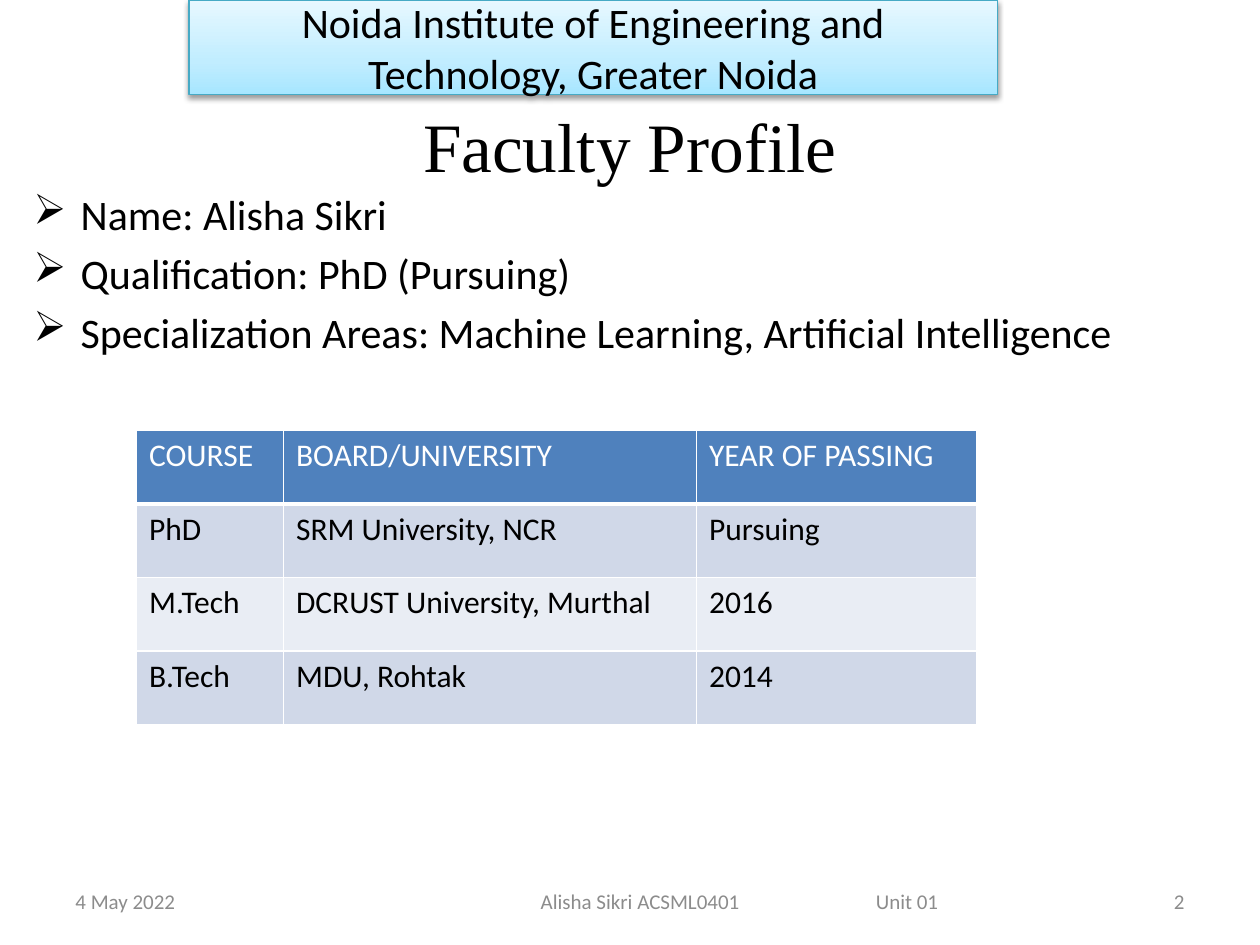
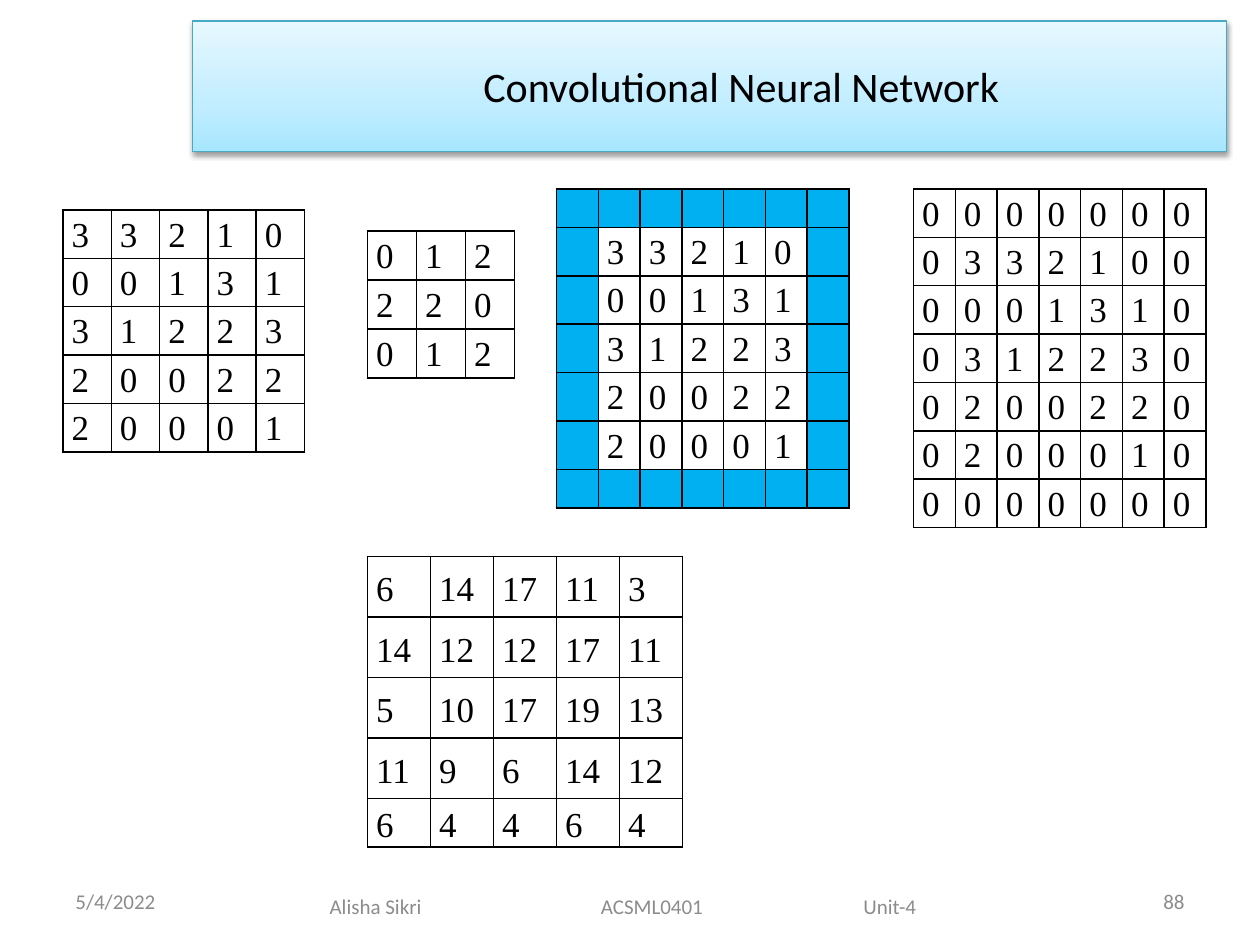
from dataclasses import dataclass

from lxml.etree import SubElement
from pptx import Presentation
from pptx.dml.color import RGBColor
from pptx.enum.shapes import MSO_SHAPE as Shape
from pptx.enum.text import MSO_ANCHOR as Anchor, PP_ALIGN as Align
from pptx.oxml.ns import qn
from pptx.util import Pt


@dataclass(frozen=True)
class Theme:
    body_font: str = "Calibri"
    serif_font: str = "Times New Roman"
    black: str = "000000"
    white: str = "FFFFFF"
    footer_grey: str = "8C8C8C"
    banner_line: str = "46AAC5"
    banner_stops: tuple = ((0, "A7E6FF"), (35, "C1EDFF"), (100, "E7F8FF"))
    header_fill: str = "4F81BD"
    band_fills: tuple = ("D0D8E8", "E9EDF4")
    padding_fill: str = "00B0F0"
    title_size: float = 39.6
    text_size: int = 24
    matrix_size: int = 20
    table_size: int = 18
    footer_size: int = 12


THEME = Theme()


def add_element(parent, tag, **attributes):
    return SubElement(parent, qn(tag), {name: str(value) for name, value in attributes.items()})


def add_color(parent, color):
    return add_element(parent, "a:srgbClr", val=color)


def write_text(frame, text, size=THEME.text_size, font=THEME.body_font, color=THEME.black,
               align=Align.LEFT, line_spacing=None, space_before=0, indent=0,
               bullet=None, tab_stops=()):
    """Write one paragraph per line of text, all in the same format."""
    for index, line in enumerate(text.split("\n")):
        paragraph = frame.add_paragraph() if index else frame.paragraphs[0]
        properties = paragraph._p.get_or_add_pPr()
        if indent:
            properties.set("marL", str(Pt(indent)))
        if bullet:
            properties.set("indent", str(-Pt(indent)))
            add_element(properties, "a:buChar", char=bullet)
        if tab_stops:
            tabs = add_element(properties, "a:tabLst")
            for stop in tab_stops:
                add_element(tabs, "a:tab", pos=Pt(stop), algn="l")
        paragraph.alignment = align
        if line_spacing:
            paragraph.line_spacing = line_spacing
        if index and space_before:
            paragraph.space_before = Pt(space_before)
        run = paragraph.add_run()
        run.text = line
        run.font.size = Pt(size)
        run.font.name = font
        run.font.bold = False
        run.font.color.rgb = RGBColor.from_string(color)


class Deck:
    def __init__(self, theme):
        self.theme = theme
        self.presentation = Presentation()
        self.presentation.slide_width = Pt(720)
        self.presentation.slide_height = Pt(540)
        self.slide = None

    def new_slide(self):
        self.slide = self.presentation.slides.add_slide(self.presentation.slide_layouts[6])

    def text_box(self, box, text, anchor=Anchor.MIDDLE, margin_left=7.2, **text_format):
        frame = self.slide.shapes.add_textbox(*map(Pt, box)).text_frame
        frame.word_wrap = True
        frame.vertical_anchor = anchor
        frame.margin_left = Pt(margin_left)
        write_text(frame, text, **text_format)

    def banner(self, box, text, indent=0):
        shape = self.slide.shapes.add_shape(Shape.RECTANGLE, *map(Pt, box))
        shape.line.color.rgb = RGBColor.from_string(self.theme.banner_line)
        shape.line.width = Pt(0.75)
        # Gradient from the bottom edge to the top
        shape.fill.gradient()
        shape.fill.gradient_angle = 90
        properties = shape.element.spPr
        stops = properties.find(qn("a:gradFill")).find(qn("a:gsLst"))
        for stop in list(stops):
            stops.remove(stop)
        for position, color in self.theme.banner_stops:
            add_color(add_element(stops, "a:gs", pos=position * 1000), color)
        # Soft shadow below
        shape.shadow.inherit = False
        shadow = add_element(properties.find(qn("a:effectLst")), "a:outerShdw",
                             blurRad=Pt(3.1), dist=Pt(1.6), dir=90 * 60000, rotWithShape=0)
        add_element(add_color(shadow, self.theme.black), "a:alpha", val=38000)
        shape.text_frame.word_wrap = True
        shape.text_frame.vertical_anchor = Anchor.MIDDLE
        write_text(shape.text_frame, text, align=Align.CENTER, indent=indent)

    def footer(self, date, parts, number, box, margin_left, tab_stops):
        style = {"size": self.theme.footer_size, "color": self.theme.footer_grey}
        self.text_box((36, 500.5, 168, 28.75), date, **style)
        self.text_box(box, "\t".join(parts), margin_left=margin_left,
                      tab_stops=tab_stops, **style)
        self.text_box((516, 500.5, 168, 28.75), number, align=Align.RIGHT, **style)

    def table(self, left, top, column_widths, row_heights):
        frame = self.slide.shapes.add_table(
            len(row_heights), len(column_widths), Pt(left), Pt(top),
            Pt(sum(column_widths)), Pt(sum(row_heights)))
        table = frame.table
        table.first_row = table.horz_banding = False
        for column, width in zip(table.columns, column_widths):
            column.width = Pt(width)
        for row, height in zip(table.rows, row_heights):
            row.height = Pt(height)
        return table

    def style_cell(self, cell, border, fill=None, bottom_width=1):
        properties = cell._tc.get_or_add_tcPr()
        for side in "LRTB":
            width = bottom_width if side == "B" else 1
            line = add_element(properties, f"a:ln{side}", w=Pt(width))
            add_color(add_element(line, "a:solidFill"), border)
        if fill:
            cell.fill.solid()
            cell.fill.fore_color.rgb = RGBColor.from_string(fill)
        else:
            cell.fill.background()

    def banded_table(self, left, top, column_widths, row_height, rows):
        theme = self.theme
        table = self.table(left, top, column_widths, [row_height] * len(rows))
        for r, values in enumerate(rows):
            fill = theme.band_fills[(r - 1) % 2] if r else theme.header_fill
            for c, value in enumerate(values):
                cell = table.cell(r, c)
                self.style_cell(cell, theme.white, fill, bottom_width=1 if r else 3)
                write_text(cell.text_frame, value, size=theme.table_size,
                           color=theme.black if r else theme.white)

    def matrix(self, left, top, column_width, row_heights, values, anchor=Anchor.TOP):
        """Draw a number grid; None gives an empty padding cell."""
        theme = self.theme
        table = self.table(left, top, [column_width] * len(values[0]), row_heights)
        for r, row in enumerate(values):
            for c, value in enumerate(row):
                cell = table.cell(r, c)
                cell.margin_left = cell.margin_right = Pt(5)
                cell.margin_top = cell.margin_bottom = 0
                cell.vertical_anchor = anchor
                self.style_cell(cell, theme.black, theme.padding_fill if value is None else None)
                if value is not None:
                    write_text(cell.text_frame, str(value), size=theme.matrix_size,
                               font=theme.serif_font, line_spacing=1.15)


def pad(matrix, value):
    edge = [[value] * (len(matrix[0]) + 2)]
    return edge + [[value, *row, value] for row in matrix] + edge


def faculty_slide(deck):
    deck.new_slide()
    # Title and profile
    deck.text_box((36, 58, 648, 50), "Faculty Profile", size=THEME.title_size,
                  font=THEME.serif_font, align=Align.CENTER)
    deck.text_box((12, 104.4, 696, 406),
                  "Name: Alisha Sikri\n"
                  "Qualification: PhD (Pursuing)\n"
                  "Specialization Areas: Machine Learning, Artificial Intelligence",
                  anchor=Anchor.TOP, align=Align.JUSTIFY, bullet="➢", indent=27,
                  space_before=4.8)
    deck.footer("4 May 2022", ["Alisha Sikri ACSML0401", "Unit 01"], "2",
                box=(246, 500.5, 354, 28.75), margin_left=63, tab_stops=[191.5])
    deck.banner((108, 0, 462, 54),
                "Noida Institute of Engineering and Technology, Greater Noida")
    # Degrees
    deck.banded_table(78, 246, [84, 236, 160], 42, [
        ["COURSE", "BOARD/UNIVERSITY", "YEAR OF PASSING"],
        ["PhD", "SRM University, NCR", "Pursuing"],
        ["M.Tech", "DCRUST University, Murthal", "2016"],
        ["B.Tech", "MDU, Rohtak", "2014"],
    ])


def convolution_slide(deck):
    deck.new_slide()
    deck.banner((110, 12, 591, 74.5), "Convolutional Neural Network", indent=36)
    deck.footer("5/4/2022", ["Alisha Sikri", "ACSML0401", "Unit-4"], "88",
                box=(158.4, 503.5, 396, 28.75), margin_left=30, tab_stops=[155, 305])

    input_values = [
        [3, 3, 2, 1, 0],
        [0, 0, 1, 3, 1],
        [3, 1, 2, 2, 3],
        [2, 0, 0, 2, 2],
        [2, 0, 0, 0, 1],
    ]
    kernel = [[0, 1, 2], [2, 2, 0], [0, 1, 2]]
    feature_map = [
        [6, 14, 17, 11, 3],
        [14, 12, 12, 17, 11],
        [5, 10, 17, 19, 13],
        [11, 9, 6, 14, 12],
        [6, 4, 4, 6, 4],
    ]
    # Padding frame, input, kernel, zero padding and result
    deck.matrix(318, 108, 23.88, [22] * 7, pad(input_values, None))
    deck.matrix(36, 120, 27.6, [25.2] * 5, input_values)
    deck.matrix(210, 132, 28, [28] * 3, kernel)
    deck.matrix(522, 108, 23.88, [22] * 7, pad(input_values, 0))
    deck.matrix(210, 318, 36, [34.6] * 4 + [17.3], feature_map, anchor=Anchor.MIDDLE)


def main():
    deck = Deck(THEME)
    faculty_slide(deck)
    convolution_slide(deck)
    deck.presentation.save("out.pptx")


if __name__ == "__main__":
    main()
